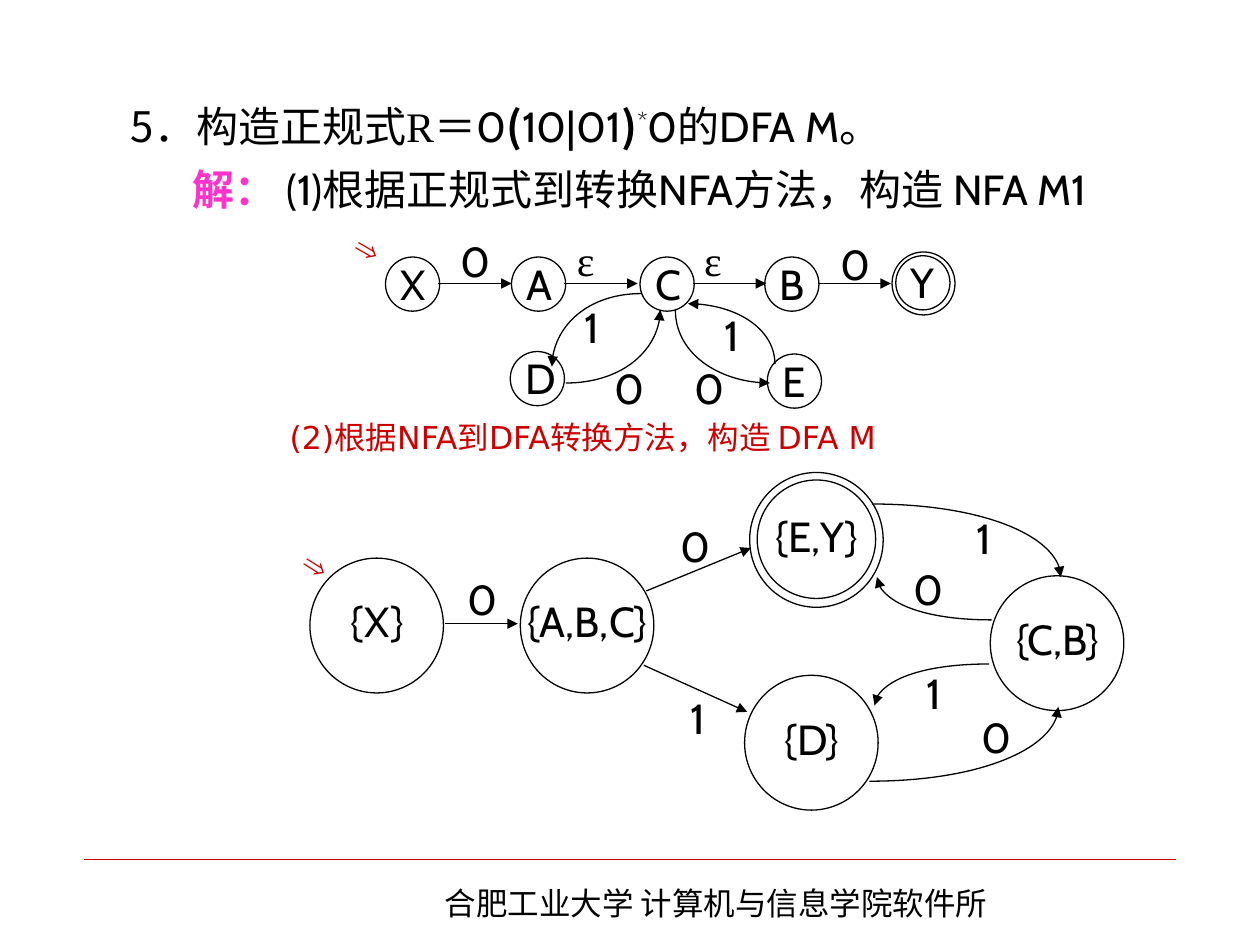
"""Build a slide that turns a regular expression into an NFA and then a DFA."""
import lxml.etree
import pptx
import pptx.dml.color
import pptx.enum.shapes
import pptx.enum.text
import pptx.oxml.ns
import pptx.util

BLACK = pptx.dml.color.RGBColor(0, 0, 0)
RED = pptx.dml.color.RGBColor(0xCC, 0, 0)
PINK = pptx.dml.color.RGBColor(0xFF, 0x33, 0xCC)
CABIN, TIMES, NOTO = "Cabin", "Times New Roman", "Noto Sans CJK SC"
DEJAVU, ARIAL = "DejaVu Sans", "Arial"
LEFT, CENTER = pptx.enum.text.PP_ALIGN.LEFT, pptx.enum.text.PP_ALIGN.CENTER

WIDTH, HEIGHT = 10, 7.5
LABEL_W, LABEL_H = 0.42, 0.5
NFA_SIZE, DFA_W, DFA_H = 0.43, 1.06, 1.07
ARROW_LENGTH = 0.58
CHAIN_TOP, CHAIN_Y = 2.04, 2.25
ROUNDNESS = 0.55

QUESTION = [("5", NOTO), ("．构造正规式R＝", TIMES), ("0", CABIN), ("(", NOTO, {"bold": True}),
            ("10|01", CABIN), (")", NOTO, {"bold": True}), ("*", CABIN, {"raised": True}),
            ("0", CABIN), ("的", TIMES), ("DFA M", CABIN), ("。", TIMES)]
STEP_ONE = [("解： ", NOTO, {"bold": True, "color": PINK}), ("(1)根据", CABIN),
            ("正规式到转换", TIMES), ("NFA方法，构造 NFA M1", CABIN)]
STEP_TWO = [("(2)根据NFA", DEJAVU), ("到", TIMES), ("DFA", DEJAVU), ("转换", TIMES),
            ("方法，构造 DFA M", DEJAVU)]
FOOTER = [("合肥工业大学 计算机与信息学院软件所", NOTO)]

NFA_CHAIN = [("X", 3.06), ("A", 4.06), ("C", 5.08), ("B", 6.07)]
NFA_OTHERS = [("Y", 7.11, 2.03), ("D", 4.05, 2.79), ("E", 6.09, 2.81)]
NFA_LABELS = [("0", 3.56, 1.82), ("ε", 4.48, 1.81), ("ε", 5.49, 1.81), ("0", 6.57, 1.84),
              ("1", 4.54, 2.34), ("1", 5.65, 2.41), ("0", 4.78, 2.83), ("0", 5.41, 2.83)]
NFA_CURVES = [((4.49, 3.04), (5.24, 2.46), "tail"), ((5.09, 2.33), (4.38, 2.91), "tail"),
              ((5.46, 2.41), (6.15, 2.89), "head"), ((6.11, 3.04), (5.36, 2.46), "head")]

DFA_STATES = [("{X}", 2.46, 4.43), ("{A,B,C}", 4.13, 4.43), ("{E,Y}", 5.95, 3.75),
              ("{D}", 5.91, 5.36), ("{C,B}", 7.86, 4.57)]
DFA_ARROWS = [((3.53, 4.95), (4.11, 4.95)), ((5.13, 4.69), (5.96, 4.35)),
              ((5.11, 5.28), (5.93, 5.65))]
DFA_LABELS = [("0", 3.61, 4.5), ("0", 5.3, 4.08), ("1", 5.33, 5.45), ("1", 7.6, 4.02),
              ("0", 7.15, 4.42), ("1", 7.2, 5.25), ("0", 7.69, 5.6)]
DFA_CURVES = [((6.92, 4), (8.42, 4.58), "tail"), ((6.9, 6.2), (8.4, 5.61), "tail"),
              ((7.87, 4.92), (6.96, 4.58), "tail"), ((7.85, 5.27), (6.94, 5.6), "tail")]
START_MARKS = [(2.72, 1.84, 0.67, 29.8, LEFT), (2.31, 4.28, 0.4, 32.2, CENTER)]

inch = pptx.util.Inches
qn = pptx.oxml.ns.qn
deck = pptx.Presentation()
deck.slide_width, deck.slide_height = inch(WIDTH), inch(HEIGHT)
shapes = deck.slides.add_slide(deck.slide_layouts[6]).shapes


def write(runs, left, top, width, height=LABEL_H, size=24, color=BLACK, align=LEFT,
          before=0, spacing=None):
    box = shapes.add_textbox(inch(left), inch(top), inch(width), inch(height))
    frame = box.text_frame
    frame.word_wrap = True
    frame.auto_size = pptx.enum.text.MSO_AUTO_SIZE.SHAPE_TO_FIT_TEXT
    paragraph = frame.paragraphs[0]
    paragraph.alignment = align
    paragraph.space_before = pptx.util.Pt(before)
    paragraph.line_spacing = spacing
    for words, face, *extra in runs:
        look = extra[0] if extra else {}
        run = paragraph.add_run()
        run.text = words
        font = run.font
        font.name, font.size = face, pptx.util.Pt(size)
        font.bold = look.get("bold", False)
        font.color.rgb = look.get("color", color)
        properties = run._r.get_or_add_rPr()
        lxml.etree.SubElement(properties, qn("a:ea"), typeface=NOTO)
        if look.get("raised"):
            properties.set("baseline", "30000")
    return box


def label(words, left, top, width=LABEL_W, align=LEFT):
    face = TIMES if words == "ε" else CABIN
    write([(words, face)], left, top, width, align=align, before=15)


def ink(part, arrow="tail", color=BLACK, weight=0.75):
    part.line.color.rgb = color
    part.line.width = pptx.util.Pt(weight)
    if arrow:
        outline = part._element.spPr.find(qn("a:ln"))
        lxml.etree.SubElement(outline, qn(f"a:{arrow}End"), type="triangle")


def straight(start, end, **look):
    line = shapes.add_connector(pptx.enum.shapes.MSO_CONNECTOR.STRAIGHT,
                                *map(inch, (*start, *end)))
    ink(line, **look)
    lxml.etree.SubElement(line._element.spPr, qn("a:effectLst"))


def curve(flat_end, steep_end, arrow):
    (x0, y0), (x1, y1) = flat_end, steep_end
    builder = shapes.build_freeform(inch(x0), inch(y0))
    builder.add_line_segments([(inch(x1), inch(y1))], close=False)
    arc = builder.convert_to_shape()
    segment = next(arc._element.iter(qn("a:lnTo")))
    bend = lxml.etree.Element(qn("a:cubicBezTo"))
    for x, y in [(x0 + ROUNDNESS * (x1 - x0), y0), (x1, y1 + ROUNDNESS * (y0 - y1)), (x1, y1)]:
        lxml.etree.SubElement(bend, qn("a:pt"), x=str(inch(x) - arc.left),
                              y=str(inch(y) - arc.top))
    segment.getparent().replace(segment, bend)
    arc.fill.background()
    arc.shadow.inherit = False
    ink(arc, arrow)


def circle(left, top, width, height):
    ring = shapes.add_shape(pptx.enum.shapes.MSO_SHAPE.OVAL,
                            *map(inch, (left, top, width, height)))
    ring.fill.background()
    ring.shadow.inherit = False
    ink(ring, arrow=None)


straight((0.67, 6.82), (9.33, 6.82), arrow=None, color=RED, weight=0.25)
write(FOOTER, 3.43, 6.97, 4.8, 0.4, size=18, before=11.2)
write(QUESTION, 0.94, 0.75, 8.5, before=15)
write(STEP_ONE, 1.43, 1.17, 7.66, 1.06, spacing=1.2)
write(STEP_TWO, 2.2, 3.27, 5.12, 0.4, size=18, color=RED)

for state, left, top in [(name, x, CHAIN_TOP) for name, x in NFA_CHAIN] + NFA_OTHERS:
    label(state, left + 0.02, top - 0.04)
    circle(left, top, NFA_SIZE, NFA_SIZE)
    if state == "Y":
        circle(left - 0.03, top - 0.03, 0.5, 0.5)
for state, left in NFA_CHAIN:
    start = left + 0.42
    straight((start, CHAIN_Y), (start + ARROW_LENGTH, CHAIN_Y))

for state, left, top in DFA_STATES:
    label(state, left - 0.13, top + 0.25, 1.33, CENTER)
    circle(left, top, DFA_W, DFA_H)
    if state == "{E,Y}":
        circle(left + 0.06, top + 0.06, 0.94, 0.94)
for start, end in DFA_ARROWS:
    straight(start, end)

for flat_end, steep_end, arrow in NFA_CURVES + DFA_CURVES:
    curve(flat_end, steep_end, arrow)
for words, left, top in NFA_LABELS:
    label(words, left, top)
for words, left, top in DFA_LABELS:
    label(words, left, top, align=CENTER)
for left, top, width, turn, align in START_MARKS:
    mark = write([("⇒", ARIAL)], left, top, width, 0.4, size=18, color=RED, align=align)
    mark.rotation = turn

deck.save("out.pptx")
